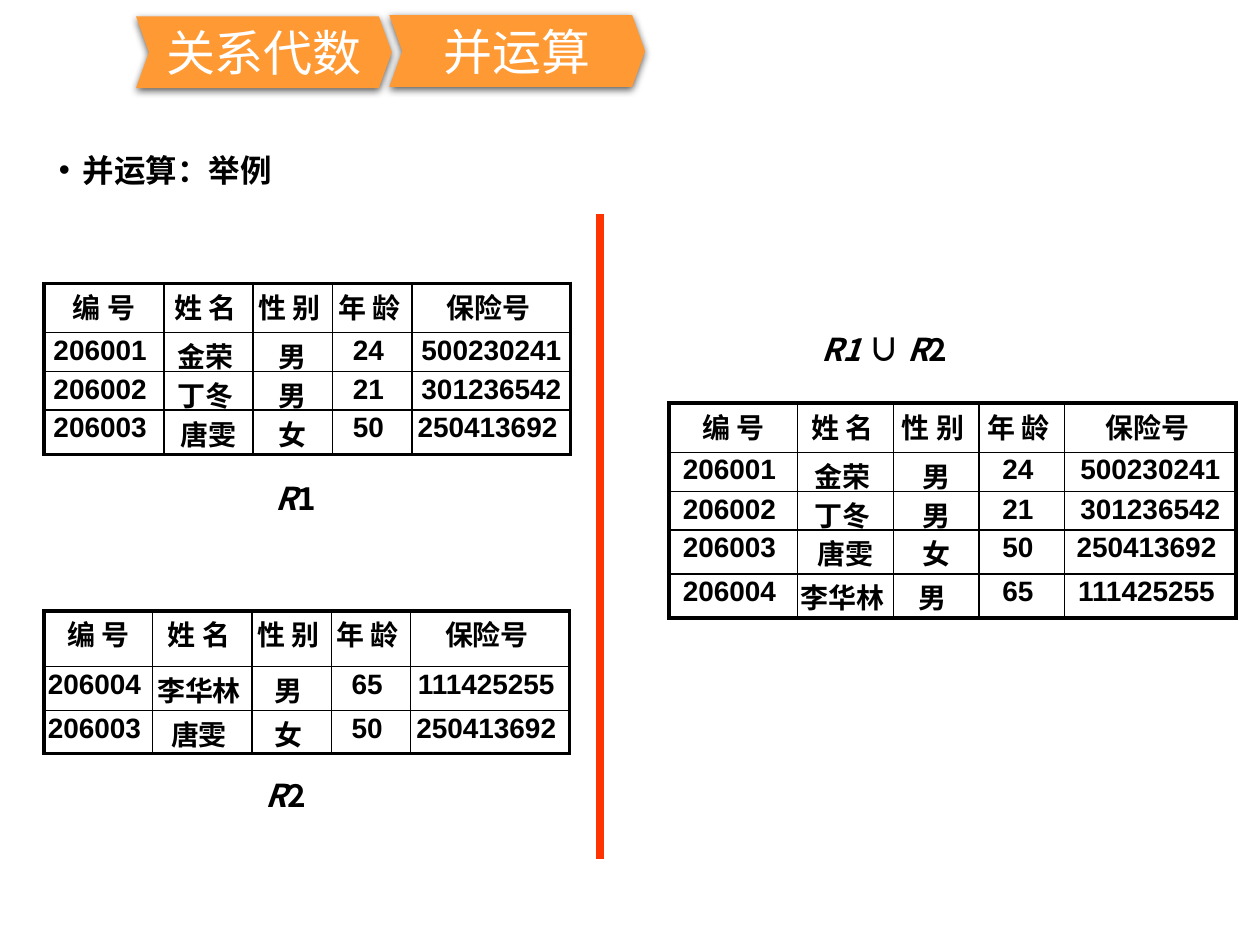
"""Build a slide on the union operation of relational algebra."""
from lxml import etree
from pptx import Presentation
from pptx.dml.color import RGBColor
from pptx.enum.shapes import MSO_CONNECTOR as CONN, MSO_SHAPE as SHAPE
from pptx.enum.text import MSO_ANCHOR as ANCHOR, PP_ALIGN as ALIGN
from pptx.oxml import parse_xml
from pptx.oxml.ns import nsdecls, qn
from pptx.util import Inches, Pt

CJK = "Noto Sans CJK SC"
NS = nsdecls("a")


def color(value):
    return RGBColor.from_string(value)


def add_run(p, text, value="000000", **fmt):
    r = p.add_run()
    r.text = text
    for key, val in fmt.items():
        setattr(r.font, key, val)
    r.font.color.rgb = color(value)
    if fmt["name"] == CJK:
        etree.SubElement(r.font._element, qn("a:ea")).set("typeface", CJK)


prs = Presentation()
prs.slide_width, prs.slide_height = Inches(10), Inches(7.5)
s = prs.slides.add_slide(prs.slide_layouts[6])

sp = s.shapes.add_textbox(Inches(0), Inches(1.18), Inches(9.09), Inches(5.46))
tf = sp.text_frame
tf.word_wrap = True
p = tf.paragraphs[0]
pPr = p._p.get_or_add_pPr()
pPr.set("marL", str(Inches(0.56)))
pPr.set("indent", str(Inches(-0.19)))
pPr.append(parse_xml(f'<a:buFont {NS} typeface="Arial"/>'))
pPr.append(parse_xml(f'<a:buChar {NS} char="•"/>'))
p.line_spacing = 0.9
add_run(p, "并运算：举例", name=CJK, size=Pt(18), bold=True)

for x, y, text in [(1.08, 0.13, "关系代数"), (3.09, 0.12, "并运算")]:
    sp = s.shapes.add_shape(SHAPE.CHEVRON, Inches(x), Inches(y), Inches(2.03), Inches(0.57))
    sp.adjustments[0] = 0.18
    sp.fill.solid()
    sp.fill.fore_color.rgb = color("FF9933")
    sp.line.fill.background()
    sp._element.spPr.append(parse_xml(
        f'<a:effectLst {NS}><a:outerShdw blurRad="{Pt(4.5)}" dist="{Pt(1.5)}" dir="5400000">'
        '<a:srgbClr val="000000"><a:alpha val="63000"/></a:srgbClr></a:outerShdw></a:effectLst>'))
    tf = sp.text_frame
    tf.vertical_anchor = ANCHOR.MIDDLE
    p = tf.paragraphs[0]
    p.alignment = ALIGN.CENTER
    add_run(p, text, "FFFFFF", name=CJK, size=Pt(28))

header = [" 编 号 ", "姓 名 ", "性 别 ", "年 龄 ", "保险号 "]
jin = ["206001 ", "金荣 ", "男", "24 ", "500230241"]
ding = ["206002 ", "丁冬 ", "男", "21 ", "301236542"]
tang = ["206003 ", "唐雯", "女", "50 ", "250413692 "]
tang_r2 = ["206003 ", "唐雯 ", "女 ", "50 ", "250413692 "]
li = ["206004 ", "李华林 ", "男 ", "65 ", "111425255 "]
tables = [
    (0.35, 2.25, [0.95, 0.71, 0.63, 0.63, 1.26], [0.39, 0.31, 0.3, 0.35],
     [header, jin, ding, tang]),
    (0.35, 4.85, [0.86, 0.79, 0.63, 0.63, 1.26], [0.44, 0.35, 0.34],
     [header, li, tang_r2]),
    (5.31, 3.2, [1.02, 0.76, 0.68, 0.68, 1.36], [0.39, 0.31, 0.3, 0.35, 0.35],
     [header, jin, ding, tang, li]),
]
for x, y, widths, heights, data in tables:
    table = s.shapes.add_table(len(data), len(header), Inches(x), Inches(y),
                               Inches(sum(widths)), Inches(sum(heights))).table
    table.first_row = table.horz_banding = False
    for col, width in zip(table.columns, widths):
        col.width = Inches(width)
    for row, height in zip(table.rows, heights):
        row.height = Inches(height)
    for i, values in enumerate(data):
        for j, text in enumerate(values):
            cell = table.cell(i, j)
            for side in ("left", "right", "top", "bottom"):
                setattr(cell, f"margin_{side}", Inches(0.02))
            cell.fill.background()
            edges = {"L": j == 0, "R": j == len(header) - 1,
                     "T": i == 0, "B": i == len(data) - 1}
            for n, (side, outer) in enumerate(edges.items()):
                cell._tc.tcPr.insert(n, parse_xml(
                    f'<a:ln{side} {NS} w="{Pt(2.25 if outer else 1)}"><a:solidFill>'
                    f'<a:srgbClr val="000000"/></a:solidFill></a:ln{side}>'))
            p = cell.text_frame.paragraphs[0]
            p.alignment = ALIGN.CENTER
            add_run(p, text, name="Arial", size=Pt(16), bold=True)

labels = [
    (2.09, 3.75, 0.61, [("R", True), ("1", False)]),
    (2.01, 6.11, 0.61, [("R", True), ("2", False)]),
    (6.42, 2.57, 1.57, [("R1 ", True), ("∪ ", False), ("R", True), ("2", False)]),
]
for x, y, width, runs in labels:
    sp = s.shapes.add_textbox(Inches(x), Inches(y), Inches(width), Inches(0.4))
    tf = sp.text_frame
    tf.word_wrap = True
    for text, italic in runs:
        add_run(tf.paragraphs[0], text, name=CJK, size=Pt(18), bold=True, italic=italic)

divider = s.shapes.add_connector(CONN.STRAIGHT, Inches(4.76), Inches(1.7), Inches(4.76), Inches(6.82))
divider.line.color.rgb = color("FF3300")
divider.line.width = Pt(4.5)
etree.SubElement(divider._element.spPr, qn("a:effectLst"))

prs.save("out.pptx")
